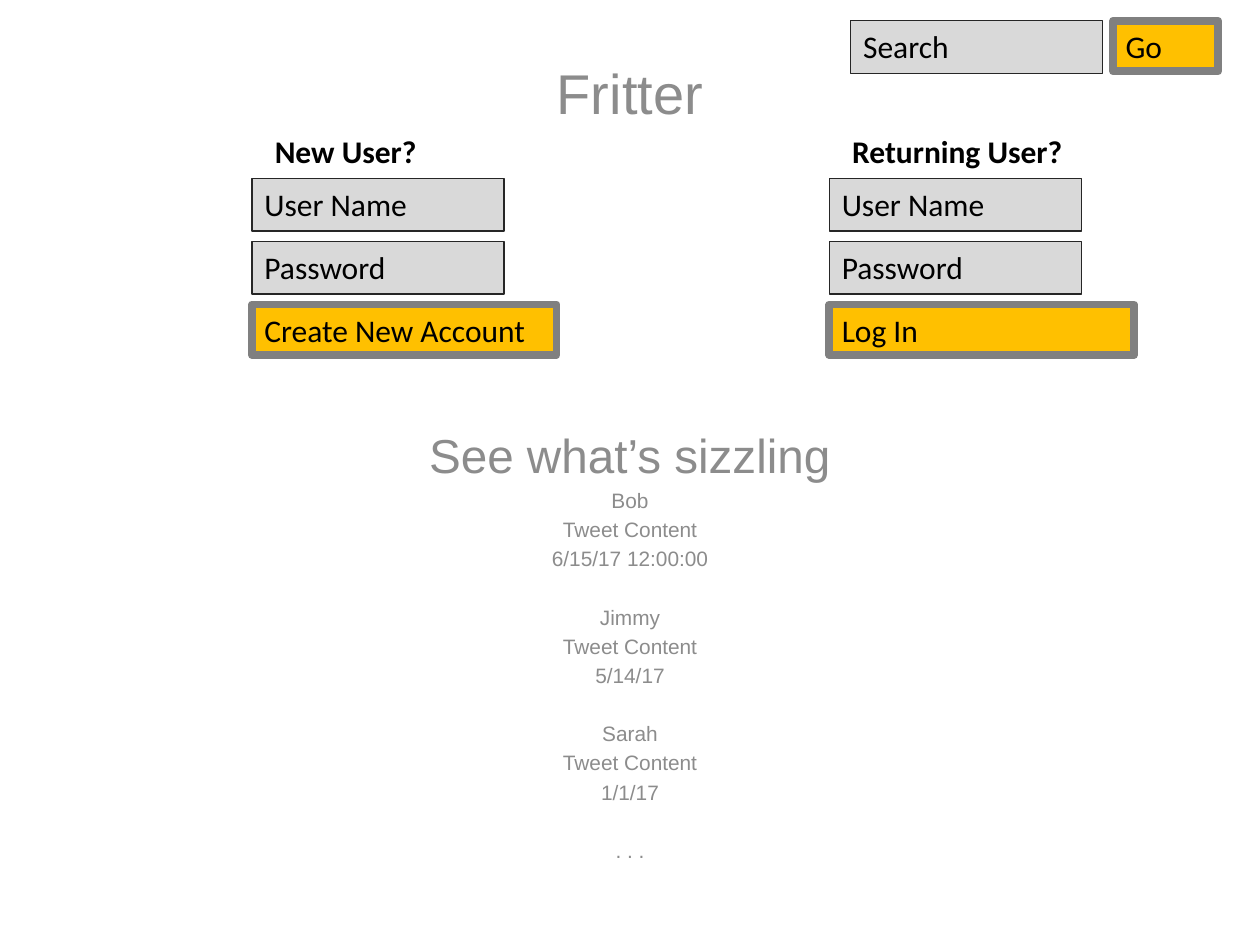
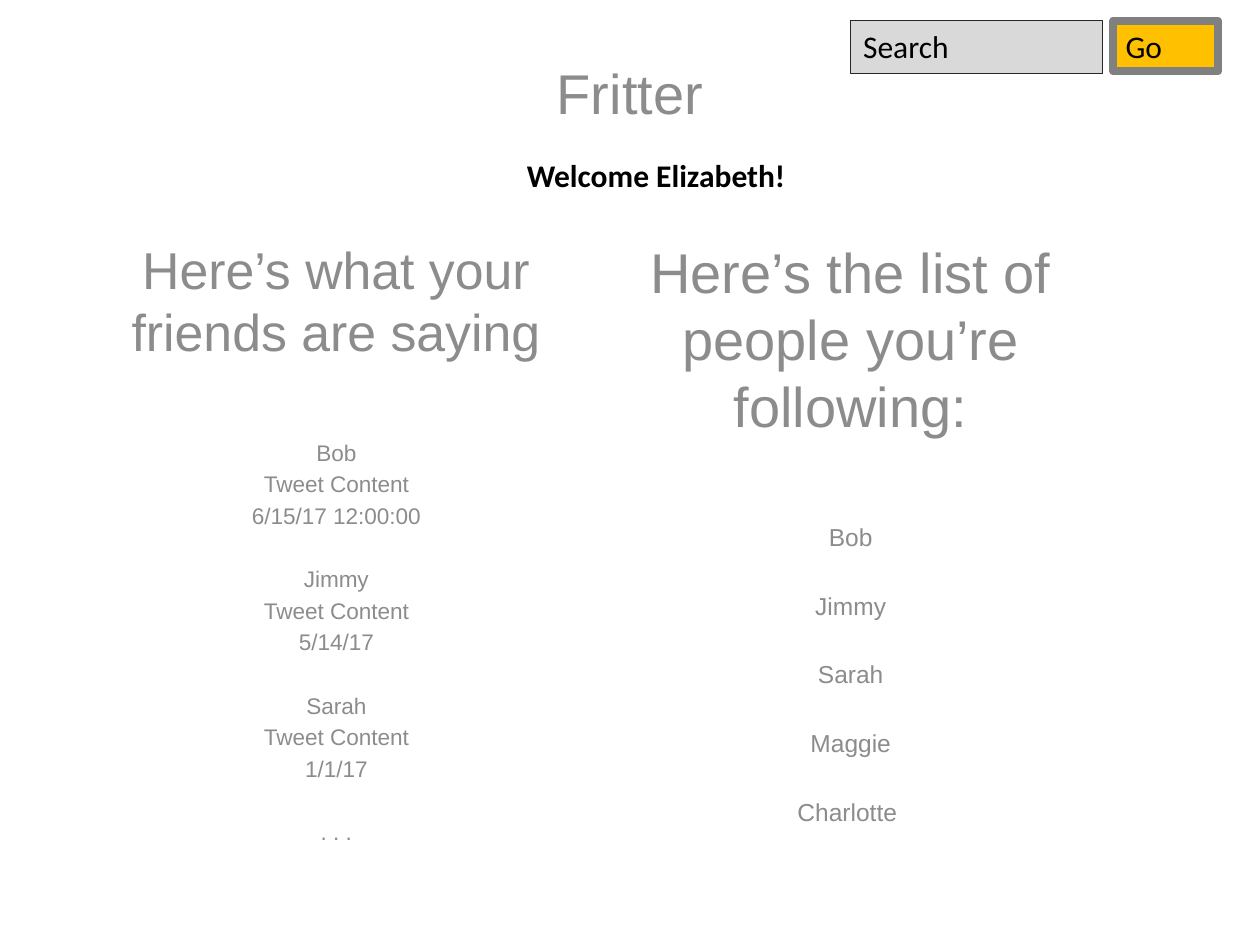
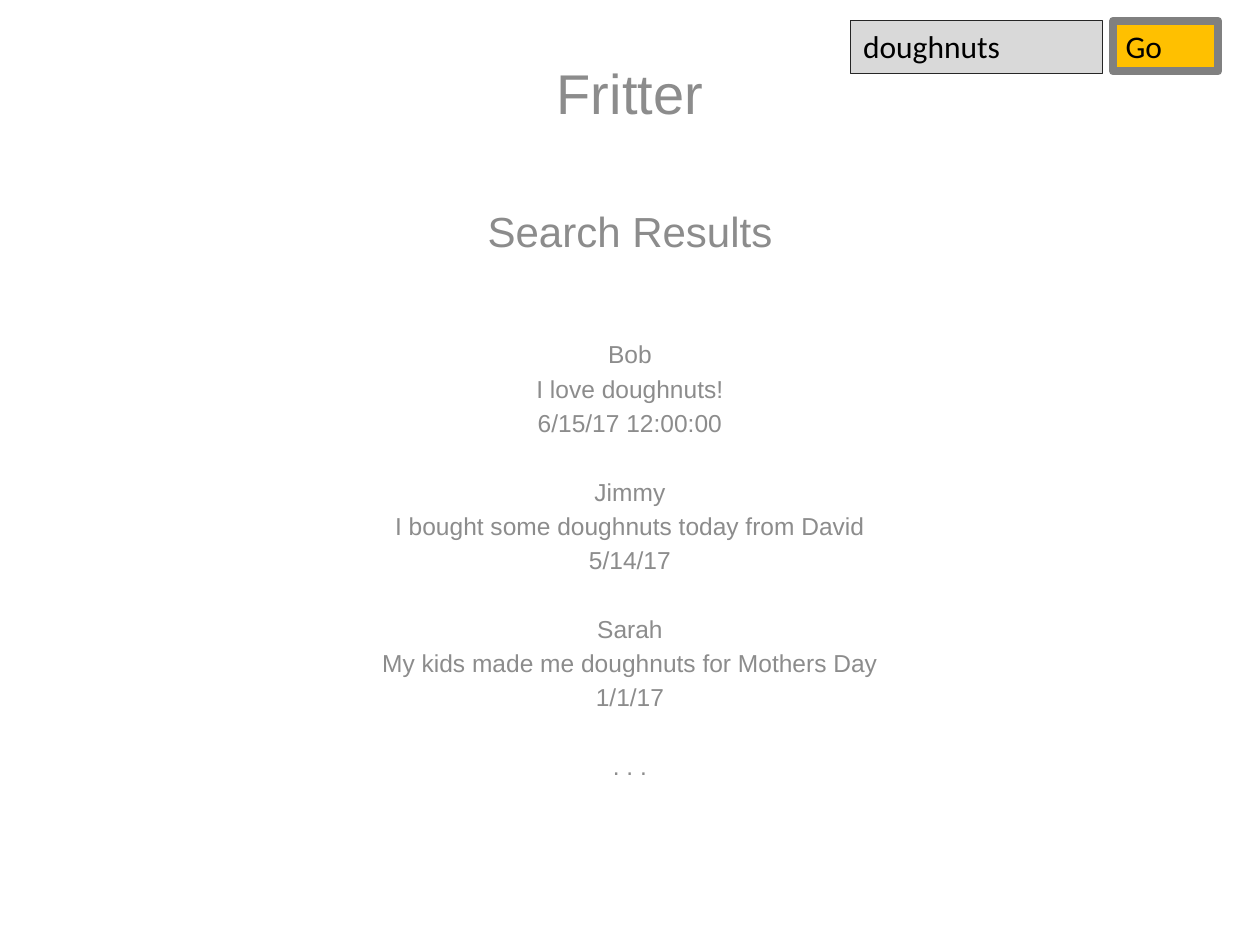
from pptx import Presentation
from pptx.dml.color import RGBColor
from pptx.enum.shapes import MSO_SHAPE
from pptx.enum.text import MSO_ANCHOR, PP_ALIGN
from pptx.util import Cm, Pt

RECT = MSO_SHAPE.RECTANGLE
TOP = MSO_ANCHOR.TOP
LEFT, CENTER = PP_ALIGN.LEFT, PP_ALIGN.CENTER

WHITE = RGBColor(0xFF, 0xFF, 0xFF)
BLACK = RGBColor(0x00, 0x00, 0x00)
GREY_TEXT = RGBColor(0x8C, 0x8C, 0x8C)
FIELD_FILL = RGBColor(0xD9, 0xD9, 0xD9)
FIELD_LINE = RGBColor(0x26, 0x26, 0x26)
BUTTON_FILL = RGBColor(0xFF, 0xC0, 0x00)
BUTTON_LINE = RGBColor(0x80, 0x80, 0x80)

# Content
SITE = "Fritter"
TWEETS = [
    ("Bob", "Tweet Content", "6/15/17 12:00:00"),
    ("Jimmy", "Tweet Content", "5/14/17"),
    ("Sarah", "Tweet Content", "1/1/17"),
    (". . .",),
]
RESULTS = [
    ("Bob", "I love doughnuts!", "6/15/17 12:00:00"),
    ("Jimmy", "I bought some doughnuts today from David", "5/14/17"),
    ("Sarah", "My kids made me doughnuts for Mothers Day", "1/1/17"),
    (". . .",),
]
FOLLOWING = [("Bob",), ("Jimmy",), ("Sarah",), ("Maggie",), ("Charlotte ",)]
FIELDS = ["User Name", "Password"]
FORMS = [("New User?", "Create New Account", 5.08),
         ("Returning User?", "Log In", 16.72)]

# Layout: lengths in cm, spacing as a share of the text size
FIELD_W, FIELD_H = 5.08, 1.06
BUTTON_W, BUTTON_H = 6.14, 1.02
FORM_TOP, FORM_STEP = 3.6, 1.27
LINE, BEFORE = 1.2, 0.2


def add_text(tf, text, first=False, size=18, font="Calibri", color=BLACK,
             bold=False, align=LEFT, line=None, before=0):
    p = tf.paragraphs[0] if first else tf.add_paragraph()
    p.alignment = align
    p.space_before = Pt(before)
    if line:
        p.line_spacing = Pt(line)
    r = p.add_run()
    r.text = text
    r.font.size, r.font.name, r.font.bold = Pt(size), font, bold
    r.font.color.rgb = color


def add_frame(s, x, y, w, h):
    tf = s.shapes.add_textbox(Cm(x), Cm(y), Cm(w), Cm(h)).text_frame
    tf.word_wrap = True
    return tf


def add_box(s, text, x, y, w, h, fill, line, weight):
    sp = s.shapes.add_shape(RECT, Cm(x), Cm(y), Cm(w), Cm(h))
    sp.shadow.inherit = False
    sp.fill.solid()
    sp.fill.fore_color.rgb = fill
    sp.line.color.rgb = line
    sp.line.width = Pt(weight)
    tf = sp.text_frame
    tf.word_wrap = True
    tf.vertical_anchor = TOP
    add_text(tf, text, first=True)


def add_field(s, text, x, y):
    add_box(s, text, x, y, FIELD_W, FIELD_H, FIELD_FILL, FIELD_LINE, 0.75)


def add_button(s, text, x, y, w=BUTTON_W):
    add_box(s, text, x, y, w, BUTTON_H, BUTTON_FILL, BUTTON_LINE, 4.5)


def add_caption(s, text, x, y, w):
    add_text(add_frame(s, x, y, w, BUTTON_H), text, first=True, bold=True)


def add_feed(s, heading, groups, at, heading_size, size=14, heading_gap=0):
    """Centred heading, then groups of lines one empty line apart.

    heading_gap is the text size of the empty line under the heading.
    """
    tf = add_frame(s, *at)
    style = dict(font="Arial", color=GREY_TEXT, align=CENTER)
    add_text(tf, heading, first=True, size=heading_size,
             line=LINE * heading_size, **style)
    gap = heading_gap
    for group in groups:
        for text in group:
            add_text(tf, text, size=size, line=LINE * size,
                     before=BEFORE * size + (LINE + BEFORE) * gap, **style)
            gap = 0
        gap = size


def add_page(prs, search="Search"):
    s = prs.slides.add_slide(prs.slide_layouts[6])
    s.background.fill.solid()
    s.background.fill.fore_color.rgb = WHITE
    add_feed(s, SITE, [], (8.04, 1.06, 9.32, 1.9), 32)
    add_field(s, search, 17.15, 0.42)
    add_button(s, "Go", 22.44, 0.42, w=2.12)
    return s


def add_form(s, caption, action, x):
    add_caption(s, caption, x + 0.21, 2.54, 5.29)
    for i, field in enumerate(FIELDS):
        add_field(s, field, x, FORM_TOP + i * FORM_STEP)
    add_button(s, action, x, FORM_TOP + len(FIELDS) * FORM_STEP)


def main():
    prs = Presentation()
    prs.slide_width, prs.slide_height = Cm(25.4), Cm(19.05)

    s = add_page(prs)
    for form in FORMS:
        add_form(s, *form)
    add_feed(s, "See what’s sizzling", TWEETS, (8.04, 8.47, 9.32, 7.83),
             27.2, size=11.9)

    s = add_page(prs)
    add_caption(s, "Welcome Elizabeth!", 10.37, 3.02, 5.93)
    add_feed(s, "Here’s what your friends are saying", TWEETS,
             (2.12, 4.66, 9.32, 12.91), 29.6, size=12.9, heading_gap=29.6)
    add_feed(s, "Here’s the list of people you’re following:", FOLLOWING,
             (12.49, 4.66, 9.32, 12.91), 32, heading_gap=32)

    s = add_page(prs, search="doughnuts")
    add_feed(s, "Search Results", RESULTS, (6.56, 4.02, 12.28, 14.82),
             24, heading_gap=32)

    prs.save("out.pptx")


if __name__ == "__main__":
    main()
